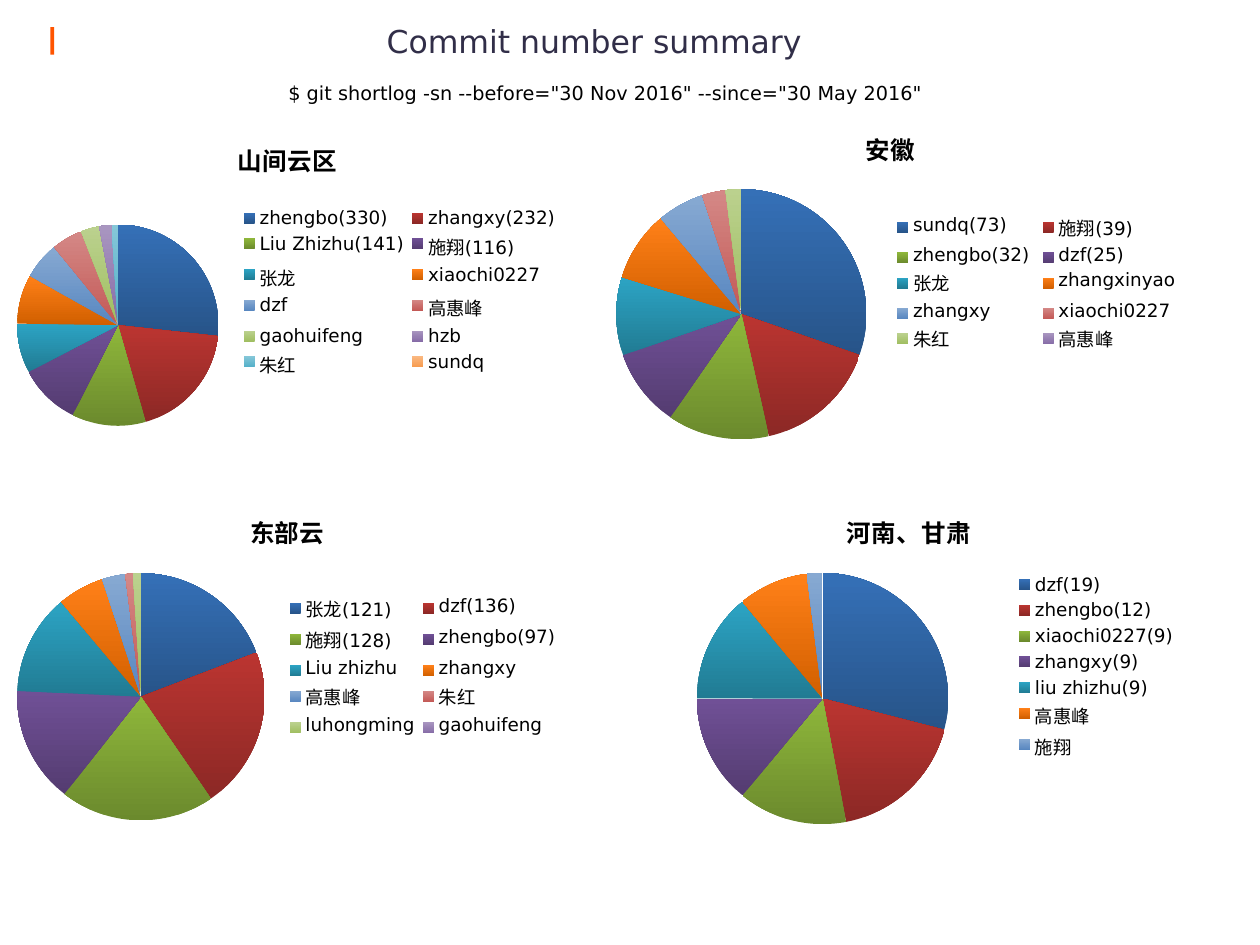
from dataclasses import dataclass
from lxml.etree import SubElement
from pptx import Presentation
from pptx.chart.data import CategoryChartData
from pptx.dml.color import RGBColor
from pptx.enum.chart import XL_CHART_TYPE, XL_LEGEND_POSITION
from pptx.enum.dml import MSO_THEME_COLOR
from pptx.enum.shapes import MSO_SHAPE
from pptx.enum.text import MSO_ANCHOR
from pptx.oxml import parse_xml
from pptx.oxml.ns import nsdecls, qn
from pptx.util import Pt


@dataclass(frozen=True)
class Theme:
    font: str = "DejaVu Sans"
    ink: RGBColor = RGBColor(0, 0, 0)
    head: RGBColor = RGBColor(0x31, 0x2E, 0x48)
    mark: RGBColor = RGBColor(0xFF, 0x54, 0x00)
    big: float = 18
    name: float = 14
    note: float = 11
    key: float = 10.5
    hues: tuple = (
        MSO_THEME_COLOR.ACCENT_1, MSO_THEME_COLOR.ACCENT_2,
        MSO_THEME_COLOR.ACCENT_3, MSO_THEME_COLOR.ACCENT_4,
        MSO_THEME_COLOR.ACCENT_5, MSO_THEME_COLOR.ACCENT_6,
    )
    tones: tuple = ((-0.34, -0.12), (0.05, 0.32))
    vivid: str = "122000"


THEME = Theme()

PIES = [
    ("山间云区", (0, 69, 328.5, 196.5),
     (0.03, 0.3, 0.35, 0.59), (0.41, 0.24, 0.57, 0.52),
     [("zhengbo(330)", 27), ("zhangxy(232)", 19), ("Liu Zhizhu(141)", 12),
      ("施翔(116)", 10), ("张龙", 8), ("xiaochi0227", 8), ("dzf", 6),
      ("高惠峰", 5), ("gaohuifeng", 3), ("hzb", 2), ("朱红", 1), ("sundq", 0)]),
    ("东部云", (0, 281.5, 328.5, 199.5),
     (0.03, 0.23, 0.43, 0.71), (0.49, 0.28, 0.49, 0.43),
     [("张龙(121)", 19), ("dzf(136)", 21), ("施翔(128)", 20),
      ("zhengbo(97)", 15), ("Liu zhizhu", 13), ("zhangxy", 6), ("高惠峰", 3),
      ("朱红", 1), ("luhongming", 1), ("gaohuifeng", 0)]),
    ("安徽", (338.5, 62.5, 340.5, 198.5),
     (0.04, 0.23, 0.42, 0.72), (0.5, 0.29, 0.49, 0.42),
     [("sundq(73)", 30), ("施翔(39)", 16), ("zhengbo(32)", 13),
      ("dzf(25)", 10), ("张龙", 10), ("zhangxinyao", 9), ("zhangxy", 6),
      ("xiaochi0227", 3), ("朱红", 2), ("高惠峰", 0)]),
    ("河南、甘肃", (360, 281.5, 319, 199.5),
     (0.12, 0.23, 0.45, 0.72), (0.69, 0.22, 0.29, 0.56),
     [("dzf(19)", 29), ("zhengbo(12)", 18), ("xiaochi0227(9)", 14),
      ("zhangxy(9)", 14), ("liu zhizhu(9)", 14), ("高惠峰", 9), ("施翔", 2)]),
]


def style(font, size, color):
    font.name = THEME.font
    font.size = Pt(size)
    font.color.rgb = color


def place(node, index, box, inner=False):
    for old in node.findall(qn("c:layout")):
        node.remove(old)
    target = '<c:layoutTarget val="inner"/>' if inner else ""
    modes = "".join(f'<c:{side}Mode val="edge"/>' for side in "xy")
    sizes = "".join(f'<c:{side} val="{part}"/>' for side, part in zip("xywh", box))
    node.insert(index, parse_xml(
        f'<c:layout {nsdecls("c")}><c:manualLayout>{target}{modes}{sizes}'
        "</c:manualLayout></c:layout>"))


def paint(series, count):
    for index in range(count):
        round_no, hue = divmod(index, len(THEME.hues))
        fill = series.points[index].format.fill
        fill.gradient()
        fill.gradient_angle = 90
        for stop, tone in zip(fill.gradient_stops, THEME.tones[round_no]):
            stop.color.rgb = THEME.ink
            stop.color.theme_color = THEME.hues[hue]
            stop.color.brightness = tone
    for color in series._element.iter(qn("a:schemeClr")):
        if color.find(qn("a:lumOff")) is None:
            SubElement(color, qn("a:satMod")).set("val", THEME.vivid)


def add_pie(slide, name, box, disc, key, rows):
    data = CategoryChartData()
    data.categories = [who for who, share in rows]
    data.add_series(name, [share for who, share in rows])
    chart = slide.shapes.add_chart(XL_CHART_TYPE.PIE, *map(Pt, box), data).chart
    style(chart.font, THEME.big, THEME.ink)
    chart.has_title = True
    title = chart.chart_title.text_frame
    title.text = name
    font = title.paragraphs[0].runs[0].font
    style(font, THEME.name, THEME.ink)
    font.bold = True
    chart.has_legend = True
    legend = chart.legend
    legend.position = XL_LEGEND_POSITION.RIGHT
    legend.include_in_layout = False
    style(legend.font, THEME.key, THEME.ink)
    place(legend._element, 1, key)
    plot = chart.plots[0]
    plot.vary_by_categories = True
    place(plot._element.getparent(), 0, disc, inner=True)
    paint(plot.series[0], len(rows))


def add_text(slide, text, box, size, color):
    frame = slide.shapes.add_textbox(*map(Pt, box)).text_frame
    frame.word_wrap = True
    frame.vertical_anchor = MSO_ANCHOR.MIDDLE
    frame.text = text
    style(frame.paragraphs[0].runs[0].font, size, color)


def add_mark(slide, box):
    mark = slide.shapes.add_shape(MSO_SHAPE.RECTANGLE, *map(Pt, box))
    mark.shadow.inherit = False
    mark.fill.solid()
    mark.fill.fore_color.rgb = THEME.mark
    mark.line.fill.background()


def main():
    deck = Presentation()
    deck.slide_width, deck.slide_height = Pt(720), Pt(540)
    slide = deck.slides.add_slide(deck.slide_layouts[6])
    for pie in PIES:
        add_pie(slide, *pie)
    add_text(slide, '$ git shortlog -sn --before="30 Nov 2016" --since="30 May 2016"',
             (157.7, 42.5, 434, 21), THEME.note, THEME.ink)
    add_mark(slide, (28.8, 15.5, 2.2, 15.8))
    add_text(slide, "Commit number summary", (213.8, 8, 286, 31),
             THEME.big, THEME.head)
    deck.save("out.pptx")


if __name__ == "__main__":
    main()
